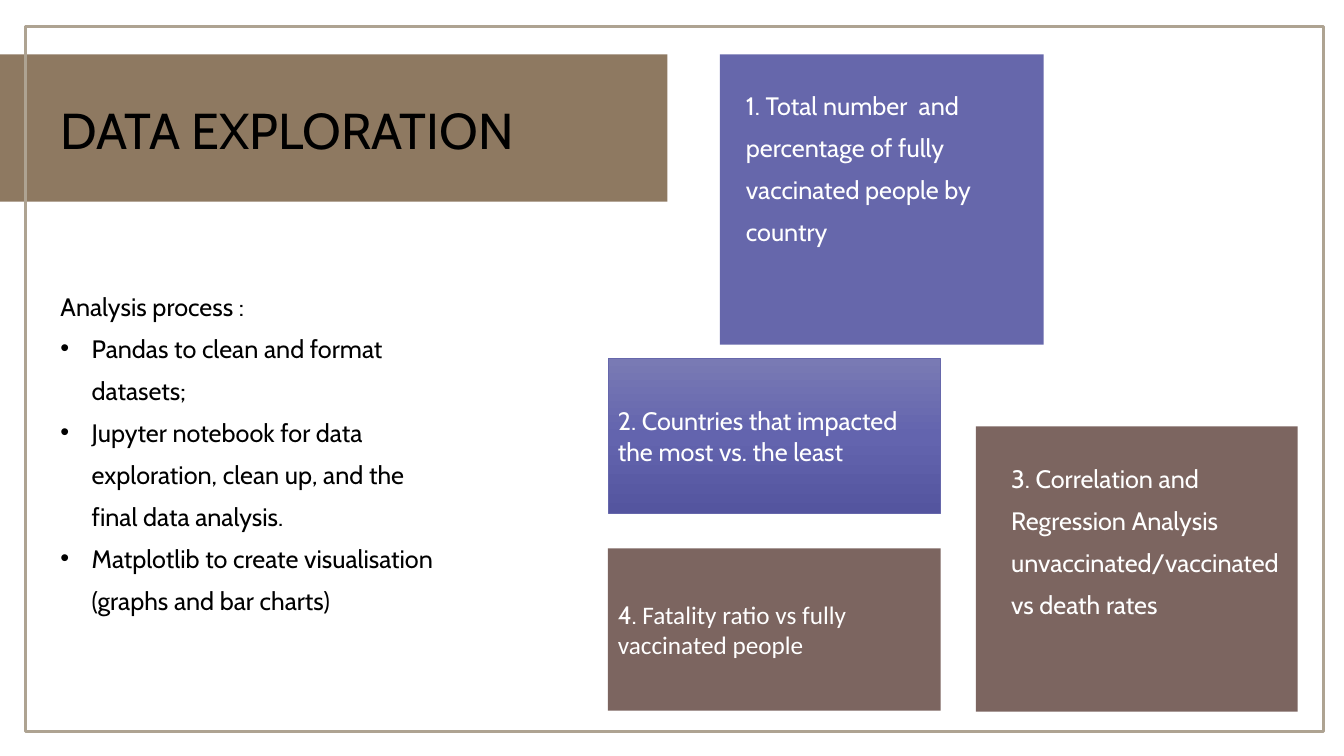
import copy

import pptx
import pptx.dml.color
import pptx.enum.shapes
import pptx.enum.text
import pptx.oxml
import pptx.oxml.ns
import pptx.util

Inches, Pt = pptx.util.Inches, pptx.util.Pt
ANCHOR = pptx.enum.text.MSO_ANCHOR
ALIGN = pptx.enum.text.PP_ALIGN
COLOURS = {
    name: pptx.dml.color.RGBColor.from_string(value)
    for name, value in {
        "sand": "8E7961", "frame": "AEA392", "violet": "6667AB", "brown": "7C6560",
        "black": "000000", "white": "FFFFFF",
        "light": "797AB4", "middle": "6364AE", "deep": "54559F",
    }.items()
}
LINE_PITCH = Pt(30)
INDENT = Inches(0.31)

deck = pptx.Presentation()
deck.slide_width, deck.slide_height = Inches(13.33), Inches(7.5)
page = deck.slides.add_slide(deck.slide_layouts[1])


def add_box(left, top, width, height, fill=None):
    """Add a rectangle without a line, filled with a named colour if given."""
    box = page.shapes.add_shape(
        pptx.enum.shapes.MSO_SHAPE.RECTANGLE, *map(Inches, (left, top, width, height)))
    box.shadow.inherit = False
    box.line.fill.background()
    if fill:
        box.fill.solid()
        box.fill.fore_color.rgb = COLOURS[fill]
    else:
        box.fill.background()
    return box


def write(box, paragraphs, colour, size=18, spacing=None, anchor=ANCHOR.TOP):
    """Fill a shape with paragraphs, each a list of (text, font) runs."""
    frame = box.text_frame
    for name, value in {"word_wrap": True, "auto_size": pptx.enum.text.MSO_AUTO_SIZE.NONE,
                        "vertical_anchor": anchor}.items():
        setattr(frame, name, value)
    for number, runs in enumerate(paragraphs):
        para = frame.add_paragraph() if number else frame.paragraphs[0]
        for name, value in {"alignment": ALIGN.LEFT, "line_spacing": spacing,
                            "space_before": Pt(0)}.items():
            setattr(para, name, value)
        for text, font in runs:
            span = para.add_run()
            span.text = text
            for name, value in {"name": font, "size": Pt(size)}.items():
                setattr(span.font, name, value)
            span.font.color.rgb = COLOURS[colour]


# Background panels and frame
for panel in ((0, 0.54, 6.62, 1.46, "sand"),
              (7.14, 0.54, 3.21, 2.88, "violet"),
              (9.68, 4.23, 3.19, 2.83, "brown")):
    add_box(*panel)
border = add_box(0.25, 0.26, 12.88, 7)
border.line.color.rgb = COLOURS["frame"]
border.line.width = Pt(2)

# Title and analysis list, brought in front of the panels
title, body = page.shapes.title, page.placeholders[1]
for holder, place in ((title, (0.5, 1, 6.17, 1.72)), (body, (0.5, 2.72, 4.08, 2.69))):
    for name, value in zip(("left", "top", "width", "height"), place):
        setattr(holder, name, Inches(value))
    page.shapes.element.append(holder.element)

write(title, [[("DATA EXPLORATION", "Cabin")]], "black", size=36, spacing=0.9)
steps = [
    "Analysis process :",
    "Pandas to clean and format datasets;",
    "Jupyter notebook for data exploration, clean up, and the final data analysis.",
    "Matplotlib to create visualisation (graphs and bar charts)",
]
write(body, [[(step, "Cabin")] for step in steps], "black", spacing=LINE_PITCH)
for number, para in enumerate(body.text_frame.paragraphs):
    props = para._p.get_or_add_pPr()
    props.set("marL", str(INDENT if number else 0))
    props.set("indent", str(-INDENT if number else 0))
    bullet = '<a:buChar %s char="•"/>' if number else "<a:buNone %s/>"
    props.append(pptx.oxml.parse_xml(bullet % pptx.oxml.ns.nsdecls("a")))

# Captions over the two tall panels
for place, lines in (
    ((7.3, 0.73, 2.99, 2.69),
     ["1. Total number  and percentage of fully vaccinated people by country"]),
    ((9.93, 4.43, 2.91, 2.47),
     ["3. Correlation and Regression Analysis unvaccinated/vaccinated", "vs death rates"]),
):
    caption = page.shapes.add_textbox(*map(Inches, place))
    write(caption, [[(line, "Cabin")] for line in lines], "white", spacing=LINE_PITCH)

# Cards that hold their own text
countries = add_box(6.03, 3.56, 3.3, 1.53)
countries.line.color.rgb = COLOURS["violet"]
countries.line.width = Pt(0.5)
countries.fill.gradient()
countries.fill.gradient_angle = 270
stop_list = countries.element.spPr.find(".//" + pptx.oxml.ns.qn("a:gsLst"))
stop_list.insert(1, copy.deepcopy(stop_list[0]))
for stop, position, shade in zip(countries.fill.gradient_stops, (0, 0.5, 1),
                                 ("light", "middle", "deep")):
    stop.position = position
    stop.color.rgb = COLOURS[shade]
write(countries, [[("2. Countries that impacted the most vs. the least", "Cabin")]],
      "white", anchor=ANCHOR.MIDDLE)

fatality = add_box(6.03, 5.44, 3.3, 1.61, "brown")
write(fatality, [[("4. ", "Cabin"), ("Fatality ratio vs fully vaccinated people", "Calibri")]],
      "white", anchor=ANCHOR.MIDDLE)

deck.save("out.pptx")
